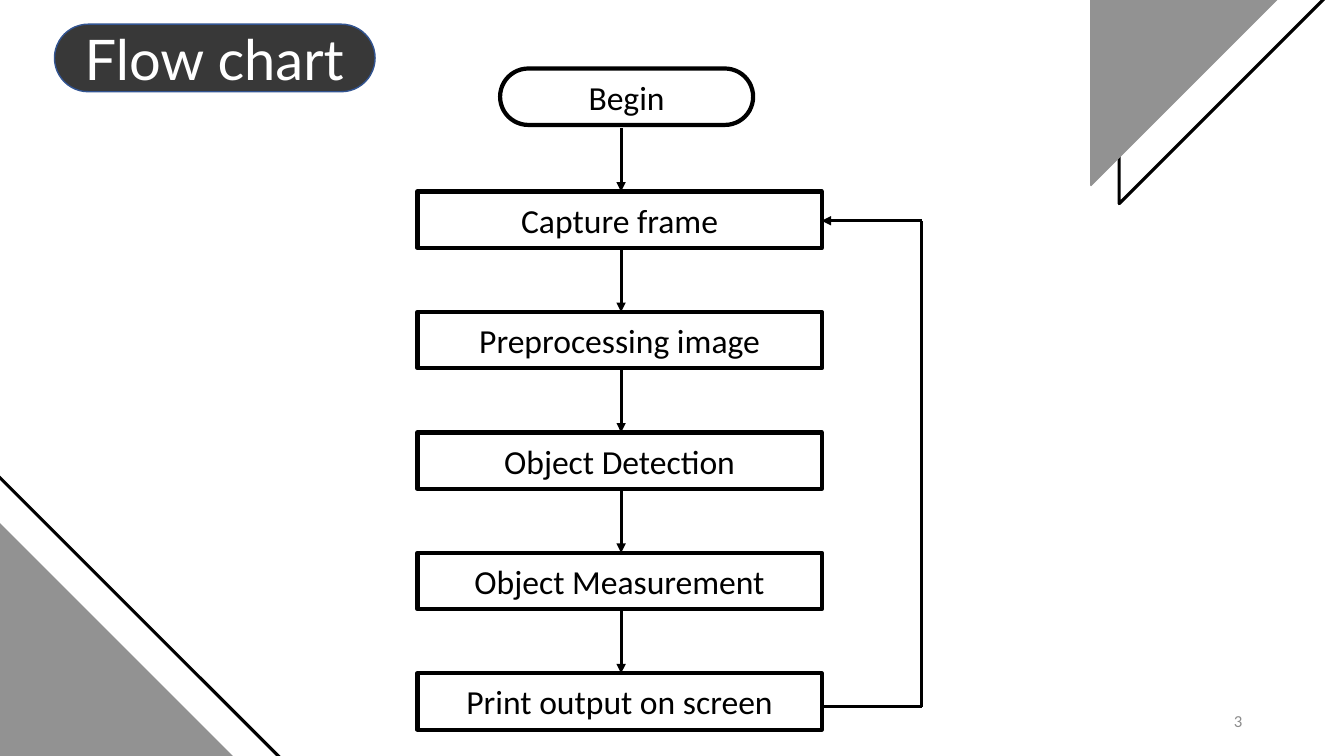
from dataclasses import dataclass

from lxml import etree
from pptx import Presentation
from pptx.dml.color import RGBColor
from pptx.enum.shapes import MSO_CONNECTOR as Connector
from pptx.enum.shapes import MSO_SHAPE as Preset
from pptx.enum.text import MSO_ANCHOR as Anchor
from pptx.enum.text import MSO_AUTO_SIZE as AutoSize
from pptx.enum.text import PP_ALIGN as Align
from pptx.oxml.ns import qn
from pptx.shapes.autoshape import Shape
from pptx.slide import Slide
from pptx.text.text import TextFrame
from pptx.util import Inches, Pt

BLACK = RGBColor(0x00, 0x00, 0x00)
WHITE = RGBColor(0xFF, 0xFF, 0xFF)
GREY = RGBColor(0x92, 0x92, 0x92)
NUMBER_GREY = RGBColor(0x8C, 0x8C, 0x8C)
CHARCOAL = RGBColor(0x38, 0x38, 0x38)
NAVY = RGBColor(0x32, 0x54, 0x91)

STEPS = ["Capture frame", "Preprocessing image", "Object Detection",
         "Object Measurement", "Print output on screen"]
FIRST_TOP, LAST_TOP = 1.9, 6.68
PITCH = (LAST_TOP - FIRST_TOP) / (len(STEPS) - 1)
STEP_LEFT, STEP_WIDTH, STEP_HEIGHT = 4.14, 4.01, 0.56
STEP_RIGHT = STEP_LEFT + STEP_WIDTH
FLOW_X = 6.16
LOOP_X, LOOP_TOP, LOOP_BOTTOM = 9.14, 2.19, 7.01
TRIANGLE_SIZE = 4.52


@dataclass
class Area:
    left: float
    top: float
    width: float
    height: float


@dataclass
class Style:
    line: RGBColor
    weight: float
    fill: RGBColor | None = None


@dataclass
class Triangle:
    left: float
    top: float
    rotation: float
    style: Style


@dataclass
class Segment:
    x1: float
    y1: float
    x2: float
    y2: float
    arrow: bool = True


STEP_STYLE = Style(BLACK, 3)
OUTLINE = Style(BLACK, 2.25)
SOLID = Style(GREY, 1, GREY)

TRIANGLES = [
    Triangle(-0.91, 3.83, 0, OUTLINE),
    Triangle(-1.09, 4.11, 0, SOLID),
    Triangle(11.1, -2.5, 90, OUTLINE),
    Triangle(10.82, -2.68, 90, SOLID),
]
LOOP = [
    Segment(STEP_RIGHT, LOOP_BOTTOM, LOOP_X, LOOP_BOTTOM, arrow=False),
    Segment(LOOP_X, LOOP_BOTTOM, LOOP_X, LOOP_TOP, arrow=False),
    Segment(LOOP_X, LOOP_TOP, STEP_RIGHT, LOOP_TOP),
]


def add_preset(page: Slide, preset: Preset, area: Area, style: Style) -> Shape:
    shape = page.shapes.add_shape(preset, Inches(area.left), Inches(area.top),
                                  Inches(area.width), Inches(area.height))
    shape.shadow.inherit = False
    shape.line.color.rgb = style.line
    shape.line.width = Pt(style.weight)
    if style.fill is None:
        shape.fill.background()
    else:
        shape.fill.solid()
        shape.fill.fore_color.rgb = style.fill
    return shape


def add_pill(page: Slide, area: Area, style: Style) -> Shape:
    pill = add_preset(page, Preset.ROUNDED_RECTANGLE, area, style)
    pill.adjustments[0] = 0.5
    return pill


def write(frame: TextFrame, text: str, size: float, color: RGBColor,
          align: Align = Align.CENTER, font: str = "Calibri") -> None:
    frame.text = text
    frame.word_wrap = True
    frame.vertical_anchor = Anchor.MIDDLE
    para = frame.paragraphs[0]
    para.alignment = align
    span = para.runs[0]
    span.font.name = font
    span.font.size = Pt(size)
    span.font.color.rgb = color


def add_segment(page: Slide, segment: Segment) -> None:
    connector = page.shapes.add_connector(
        Connector.STRAIGHT, Inches(segment.x1), Inches(segment.y1),
        Inches(segment.x2), Inches(segment.y2))
    connector.line.color.rgb = BLACK
    connector.line.width = Pt(2.25)
    if segment.arrow:
        line = connector.line._get_or_add_ln()
        etree.SubElement(line, qn("a:tailEnd"), type="triangle")
    etree.SubElement(connector.element.spPr, qn("a:effectLst"))


def add_flow(page: Slide) -> None:
    begin = add_pill(page, Area(4.96, 0.68, 2.51, STEP_HEIGHT), STEP_STYLE)
    write(begin.text_frame, "Begin", 24, BLACK)
    arrow_start = 1.27
    for index, label in enumerate(STEPS):
        top = FIRST_TOP + index * PITCH
        box = add_preset(page, Preset.RECTANGLE,
                         Area(STEP_LEFT, top, STEP_WIDTH, STEP_HEIGHT), STEP_STYLE)
        write(box.text_frame, label, 24, BLACK)
        add_segment(page, Segment(FLOW_X, arrow_start, FLOW_X, top))
        arrow_start = top + STEP_HEIGHT
    for segment in LOOP:
        add_segment(page, segment)


def add_corners(page: Slide) -> None:
    for triangle in TRIANGLES:
        area = Area(triangle.left, triangle.top, TRIANGLE_SIZE, TRIANGLE_SIZE)
        shape = add_preset(page, Preset.RIGHT_TRIANGLE, area, triangle.style)
        shape.rotation = triangle.rotation


def add_number(page: Slide) -> None:
    box = page.shapes.add_textbox(Inches(9.42), Inches(6.95), Inches(3), Inches(0.4))
    write(box.text_frame, "3", 12, NUMBER_GREY, Align.RIGHT)


def add_title(page: Slide) -> None:
    """Draw the title pill and bring the title placeholder in front of it."""
    add_pill(page, Area(0.54, 0.24, 3.18, 0.67), Style(NAVY, 1, CHARCOAL))
    title = page.shapes.title
    title.left, title.top = Inches(0.74), Inches(0.19)
    title.width, title.height = Inches(2.79), Inches(0.77)
    write(title.text_frame, "Flow chart", 40, WHITE, Align.LEFT, "Lato")
    title.text_frame.auto_size = AutoSize.NONE
    page.shapes.element.append(title.element)


def main() -> None:
    deck = Presentation()
    deck.slide_width, deck.slide_height = Inches(13.33), Inches(7.5)
    page = deck.slides.add_slide(deck.slide_layouts.get_by_name("Title Only"))
    add_flow(page)
    add_corners(page)
    add_number(page)
    add_title(page)
    deck.save("out.pptx")


if __name__ == "__main__":
    main()
